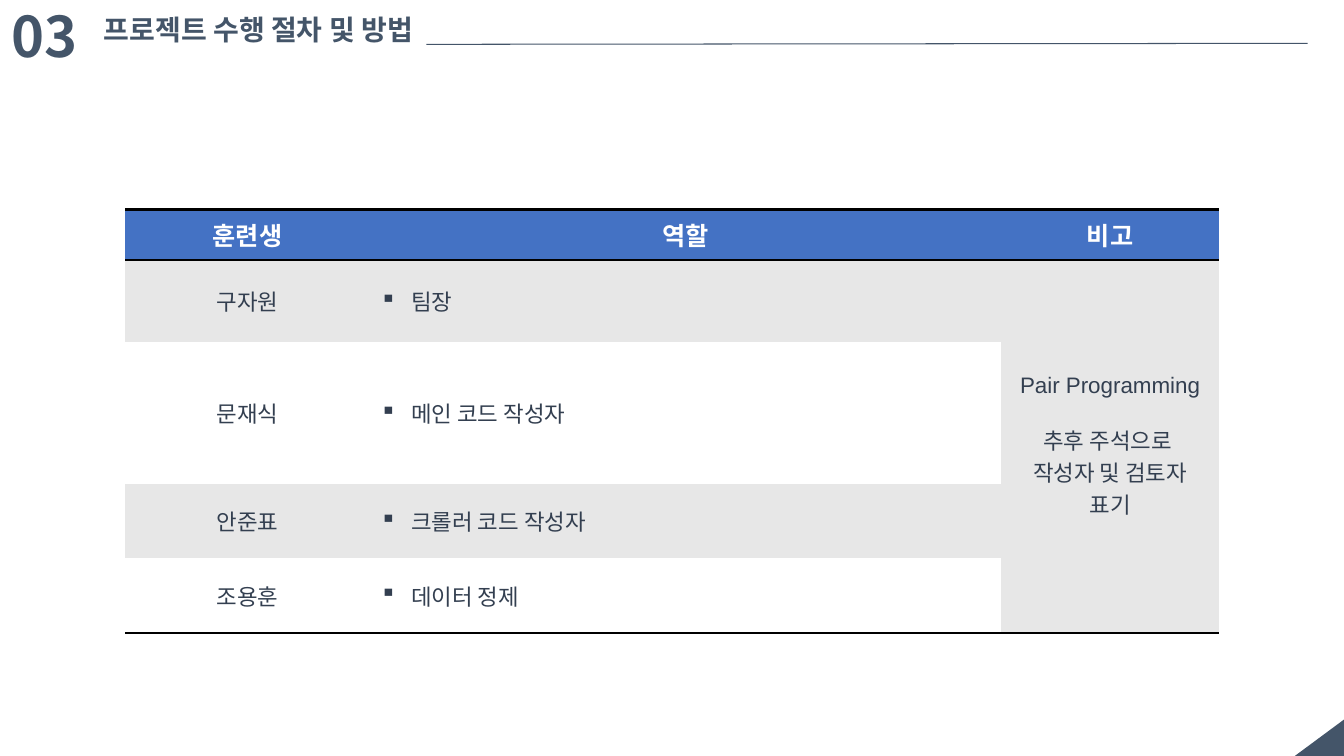
from lxml.etree import SubElement
from pptx import Presentation
from pptx.dml.color import RGBColor
from pptx.enum.shapes import MSO_CONNECTOR, MSO_SHAPE
from pptx.enum.text import MSO_ANCHOR, PP_ALIGN
from pptx.oxml.ns import qn
from pptx.util import Inches, Pt

NAVY, INK, BLUE, GREY, WHITE, BLACK = (
    "445569", "333F50", "4472C4", "E7E7E7", "FFFFFF", "000000")
NOTO = "Noto Sans CJK KR"
PLAIN = "{2D5ABB26-0587-4C30-8999-92F81FD0307C}"
COLS = [2.43, 6.26, 2.16]
ROWS = [0.5, 0.81, 1.41, 0.74, 0.74]
HEADS = ["훈련생", "역할", "비고"]
TEAM = [("구자원", "팀장"), ("문재식", "메인 코드 작성자"),
        ("안준표", "크롤러 코드 작성자"), ("조용훈", "데이터 정제")]
NOTES = ["Pair Programming", "추후 주석으로 \v작성자 및 검토자 표기"]


def color(code):
    return RGBColor.from_string(code)


def style(para, size, face, code, bold=False):
    font = para.font
    font.size, font.name, font.bold = Pt(size), face, bold
    font.color.rgb = color(code)


def add_text(slide, text, box, size, face, wrap):
    frame = slide.shapes.add_textbox(*map(Inches, box)).text_frame
    frame.word_wrap = wrap
    para = frame.paragraphs[0]
    para.text = text
    style(para, size, face, NAVY, True)


def add_rule(slide, start, end):
    line = slide.shapes.add_connector(
        MSO_CONNECTOR.STRAIGHT, *map(Inches, start + end))
    line.line.color.rgb = color(NAVY)
    line.line.width = Pt(0.75)
    SubElement(line._element.spPr, qn("a:effectLst"))


def add_corner(slide):
    shape = slide.shapes.add_shape(
        MSO_SHAPE.RIGHT_TRIANGLE, *map(Inches, (12.9, 7.07, 0.37, 0.5)))
    shape.rotation = 270
    shape.shadow.inherit = False
    shape.fill.solid()
    shape.fill.fore_color.rgb = color(NAVY)
    shape.line.fill.background()


def add_edge(cell, side):
    edge = SubElement(cell._tc.get_or_add_tcPr(), qn(f"a:ln{side}"), w=str(Pt(2)))
    SubElement(SubElement(edge, qn("a:solidFill")), qn("a:srgbClr"), val=BLACK)


def add_bullet(para):
    props = para._p.get_or_add_pPr()
    props.set("marL", str(Inches(0.31)))
    props.set("indent", str(-Inches(0.31)))
    mark = SubElement(props, qn("a:buChar"), char="▪")
    props.insert(0, mark)


def fill_cell(cell, lines, shade, size, face, code, bold=False, edges=""):
    for side in edges:
        add_edge(cell, side)
    cell.fill.solid()
    cell.fill.fore_color.rgb = color(shade)
    cell.vertical_anchor = MSO_ANCHOR.MIDDLE
    cell.text = "\n".join(lines)
    for para in cell.text_frame.paragraphs:
        para.alignment = PP_ALIGN.CENTER
        style(para, size, face, code, bold)


def add_team(slide):
    frame = slide.shapes.add_table(
        len(ROWS), len(COLS), Inches(1.24), Inches(2.08),
        Inches(sum(COLS)), Inches(sum(ROWS)))
    table = frame.table
    table.horz_banding = table.first_row = False
    table._tbl.tblPr.find(qn("a:tableStyleId")).text = PLAIN
    for col, width in zip(table.columns, COLS):
        col.width = Inches(width)
    for row, height in zip(table.rows, ROWS):
        row.height = Inches(height)
    for col, head in enumerate(HEADS):
        fill_cell(table.cell(0, col), [head], BLUE, 18, "Calibri", WHITE, True, "TB")
    for row, (name, role) in enumerate(TEAM, 1):
        shade = GREY if row % 2 else WHITE
        edges = "B" if row == len(TEAM) else ""
        fill_cell(table.cell(row, 0), [name], shade, 16, "Calibri", INK, edges=edges)
        cell = table.cell(row, 1)
        fill_cell(cell, [role], shade, 16, NOTO, INK, edges=edges)
        para = cell.text_frame.paragraphs[0]
        para.alignment = PP_ALIGN.LEFT
        add_bullet(para)
    note = table.cell(1, 2)
    last = table.cell(len(TEAM), 2)
    add_edge(last, "B")
    note.merge(last)
    fill_cell(note, NOTES, GREY, 16, "Arial", INK, edges="B")
    note.text_frame.paragraphs[1].space_before = Pt(18)


def main():
    deck = Presentation()
    deck.slide_width, deck.slide_height = Inches(13.33), Inches(7.5)
    slide = deck.slides.add_slide(deck.slide_layouts[6])
    add_corner(slide)
    add_text(slide, "03", (0.02, -0.03, 1.27, 0.77), 40, NOTO, True)
    add_rule(slide, (4.23, 0.44), (12.97, 0.43))
    add_team(slide)
    add_text(slide, "프로젝트 수행 절차 및 방법", (0.93, 0.08, 3.68, 0.44),
             20, "Arial", False)
    deck.save("out.pptx")


if __name__ == "__main__":
    main()
